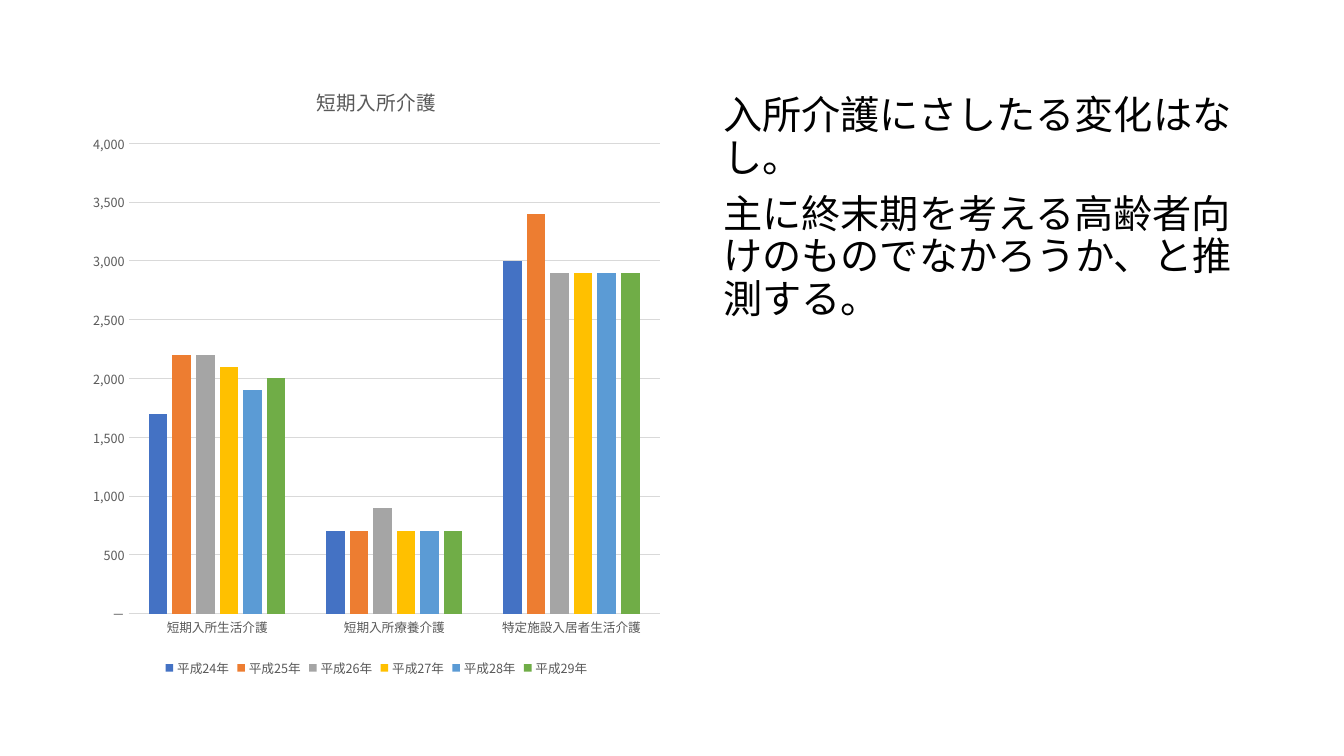
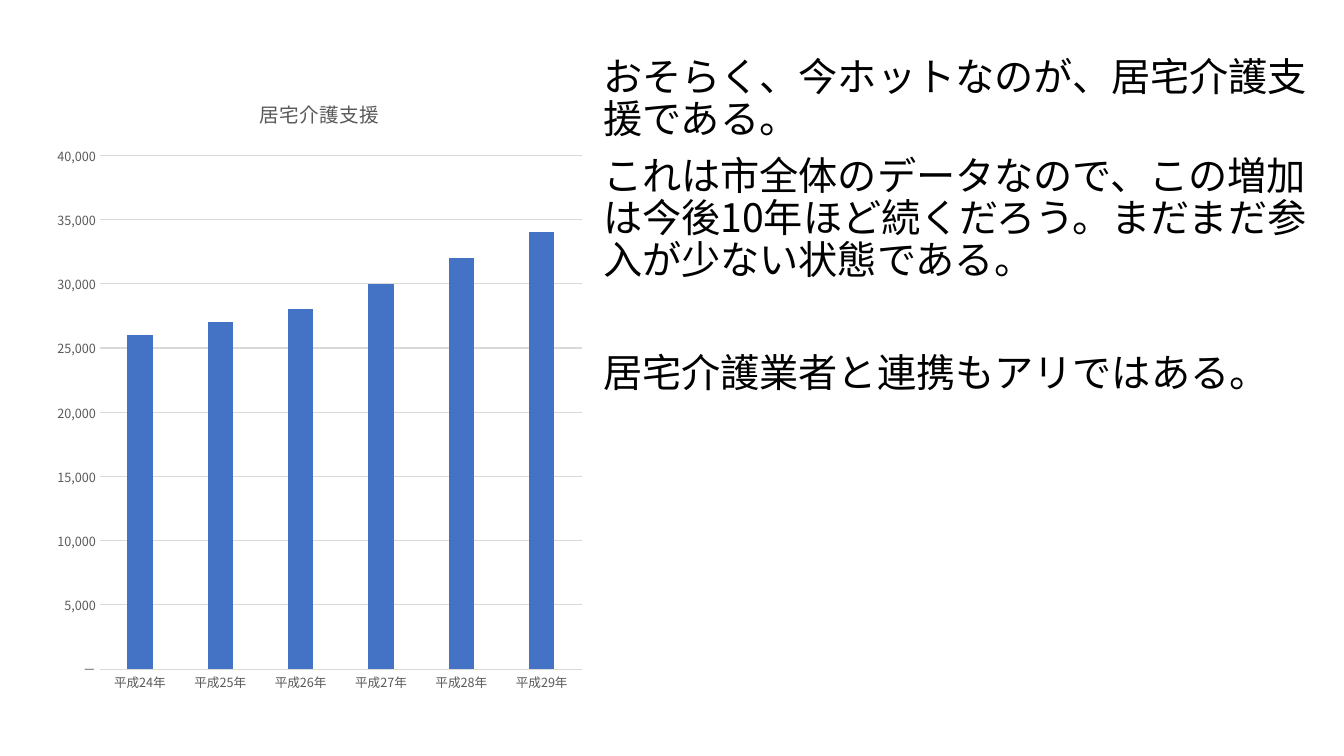
from lxml import etree
from pptx import Presentation
from pptx.chart.data import CategoryChartData
from pptx.dml.color import RGBColor
from pptx.enum.chart import XL_CHART_TYPE, XL_LEGEND_POSITION, XL_TICK_MARK
from pptx.oxml.ns import qn
from pptx.util import Cm, Pt

FONT = "Noto Sans CJK JP"
BLACK, GREY, GRID = "000000", "595959", "D9D9D9"
SERIES_COLOURS = ["4472C4", "ED7D31", "A5A5A5", "FFC000", "5B9BD5", "70AD47"]
NUMBER_FORMAT = '#,##0;"△"#,##0;"－"'
YEARS = [f"平成{year}年" for year in range(24, 30)]
PARAGRAPH_GAP, SECTION_GAP = 10, 50

# Boxes are left, top, width, height in cm; remarks are (text, space before in points)
SLIDES = [
    {
        "title": "短期入所介護",
        "chart_box": (2.05, 1.62, 14.88, 15.54),
        "categories": ["短期入所生活介護", "短期入所療養介護", "特定施設入居者生活介護"],
        "series": list(zip(YEARS, [
            (1700, 700, 3000), (2200, 700, 3400), (2200, 900, 2900),
            (2100, 700, 2900), (1900, 700, 2900), (2000, 700, 2900),
        ])),
        "axis_top": 4000,
        "axis_step": 500,
        "remarks_box": (17.98, 2.29, 13.56, 14.86),
        "remarks": [
            ("入所介護にさしたる変化はなし。", PARAGRAPH_GAP),
            ("主に終末期を考える高齢者向けのものでなかろうか、と推測する。", PARAGRAPH_GAP),
        ],
    },
    {
        "title": "居宅介護支援",
        "chart_box": (1.17, 1.91, 13.77, 15.82),
        "categories": YEARS,
        "series": [("居宅介護支援", (26000, 27000, 28000, 30000, 32000, 34000))],
        "axis_top": 40000,
        "axis_step": 5000,
        "remarks_box": (14.95, 1.33, 18.34, 14.86),
        "remarks": [
            ("おそらく、今ホットなのが、居宅介護支援である。", PARAGRAPH_GAP),
            ("これは市全体のデータなので、この増加は今後10年ほど続くだろう。"
             "まだまだ参入が少ない状態である。", PARAGRAPH_GAP),
            ("居宅介護業者と連携もアリではある。", SECTION_GAP),
        ],
    },
]


def colour(value):
    return RGBColor.from_string(value)


def style_font(font, size, value):
    font.name = FONT
    font.size = Pt(size)
    font.bold = False
    font.color.rgb = colour(value)


def set_east_asian_font(root):
    """Give Japanese characters the same typeface as the Latin ones."""
    for latin in list(root.iter(qn("a:latin"))):
        east_asian = etree.Element(qn("a:ea"))
        east_asian.set("typeface", latin.get("typeface"))
        latin.addnext(east_asian)


def style_line(line, value):
    line.color.rgb = colour(value)
    line.width = Pt(0.75)


def style_axes(chart, content):
    for axis in (chart.category_axis, chart.value_axis):
        axis.major_tick_mark = axis.minor_tick_mark = XL_TICK_MARK.NONE
        style_font(axis.tick_labels.font, 9, GREY)
    style_line(chart.category_axis.format.line, GRID)

    values = chart.value_axis
    values.minimum_scale = 0
    values.maximum_scale = content["axis_top"]
    values.major_unit = content["axis_step"]
    values.format.line.fill.background()
    style_line(values.major_gridlines.format.line, GRID)
    values.tick_labels.number_format = NUMBER_FORMAT
    values.tick_labels.number_format_is_linked = False


def add_column_chart(slide, content):
    data = CategoryChartData(number_format=NUMBER_FORMAT)
    data.categories = content["categories"]
    for name, values in content["series"]:
        data.add_series(name, values)
    chart = slide.shapes.add_chart(
        XL_CHART_TYPE.COLUMN_CLUSTERED, *map(Cm, content["chart_box"]), data).chart
    style_font(chart.font, 10, BLACK)

    chart.has_title = True
    chart.chart_title.include_in_layout = False
    title = chart.chart_title.text_frame.paragraphs[0].add_run()
    title.text = content["title"]
    style_font(title.font, 14, GREY)

    style_axes(chart, content)
    plot = chart.plots[0]
    plot.vary_by_categories = False
    plot.gap_width, plot.overlap = 219, -27
    for series, value in zip(plot.series, SERIES_COLOURS):
        series.format.fill.solid()
        series.format.fill.fore_color.rgb = colour(value)

    chart.has_legend = len(content["series"]) > 1
    if chart.has_legend:
        chart.legend.position = XL_LEGEND_POSITION.BOTTOM
        chart.legend.include_in_layout = False
        style_font(chart.legend.font, 9, GREY)
    set_east_asian_font(chart.element)


def add_remarks(slide, content):
    frame = slide.shapes.add_textbox(*map(Cm, content["remarks_box"])).text_frame
    frame.word_wrap = True
    for index, (text, space_before) in enumerate(content["remarks"]):
        paragraph = frame.add_paragraph() if index else frame.paragraphs[0]
        paragraph.line_spacing = 0.9
        paragraph.space_before = Pt(space_before)
        run = paragraph.add_run()
        run.text = text
        style_font(run.font, 28, BLACK)


def main():
    deck = Presentation()
    deck.slide_width, deck.slide_height = Cm(33.87), Cm(19.05)
    for content in SLIDES:
        slide = deck.slides.add_slide(deck.slide_layouts[6])
        add_remarks(slide, content)
        add_column_chart(slide, content)
        set_east_asian_font(slide.element)
    deck.save("out.pptx")


if __name__ == "__main__":
    main()
